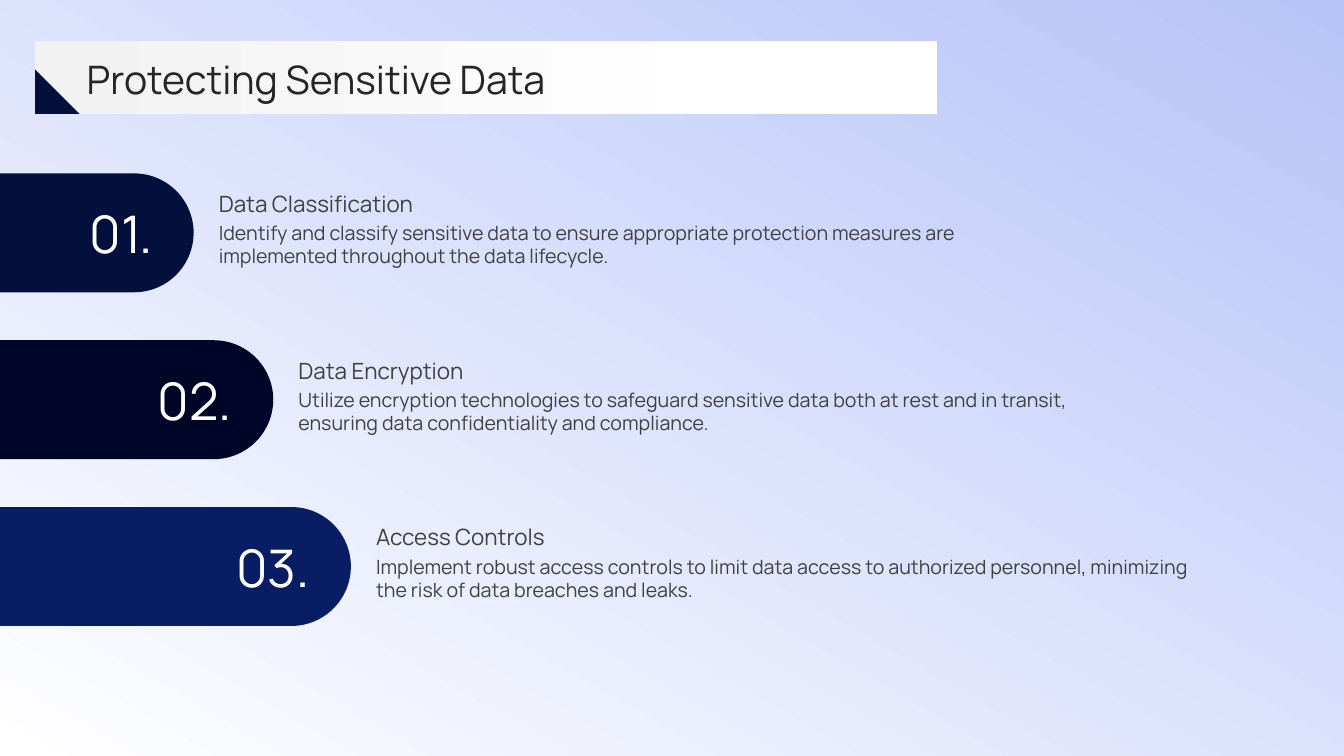
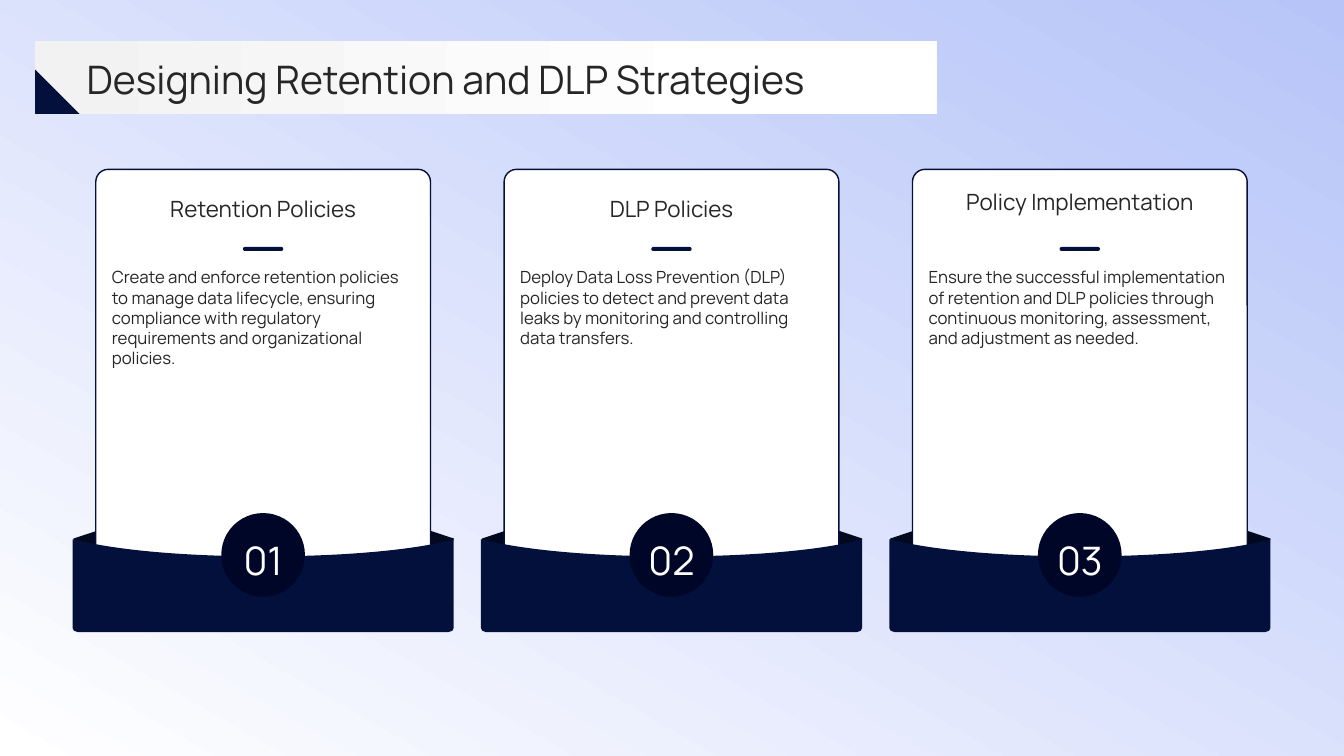
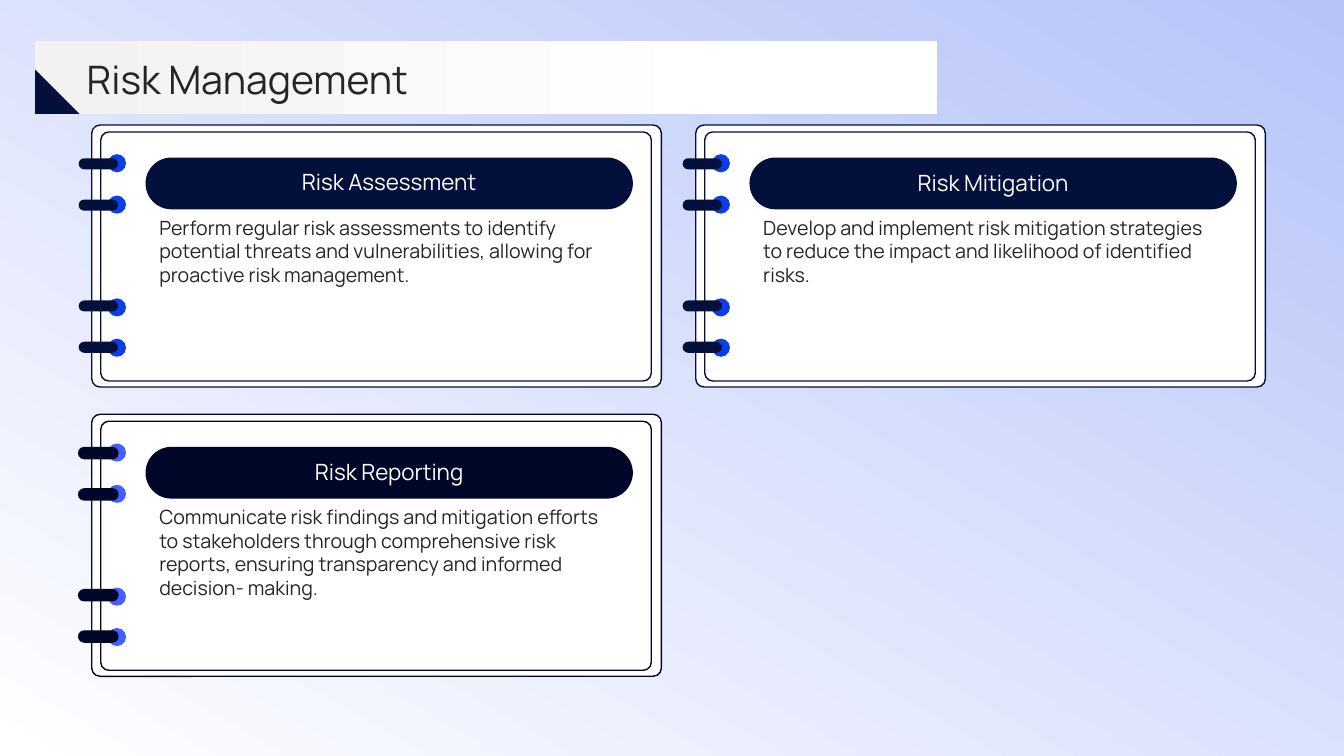
"""Build three data protection slides with a shared title band and gradient background."""
from copy import copy

from pptx import Presentation
from pptx.dml.color import RGBColor
from pptx.enum.shapes import MSO_SHAPE as SHAPE
from pptx.enum.text import MSO_ANCHOR as ANCHOR, MSO_AUTO_SIZE, PP_ALIGN as ALIGN
from pptx.oxml.ns import qn
from pptx.util import Inches, Pt

FONT = "Manrope"
WIDTH, HEIGHT = 13.33, 7.5
COLORS = {
    "navy": "03103B", "midnight": "000627", "royal": "091D65", "fold": "02081E",
    "blue": "0C3EE6", "violet": "4360FF", "periwinkle": "AABDFB", "sky": "B6C4F8",
    "mist": "F2F2F2", "white": "FFFFFF", "ink": "262626", "gray": "404040",
}

PROTECTION = [
    ("01.", 1.97, "navy", "Data Classification",
     "Identify and classify sensitive data to ensure appropriate protection measures are "
     "implemented throughout the data lifecycle."),
    ("02.", 2.76, "midnight", "Data Encryption",
     "Utilize encryption technologies to safeguard sensitive data both at rest and in transit, "
     "ensuring data confidentiality and compliance."),
    ("03.", 3.53, "royal", "Access Controls",
     "Implement robust access controls to limit data access to authorized personnel, minimizing "
     "the risk of data breaches and leaks."),
]
STRATEGIES = [
    ("01", 1.77, "Retention Policies",
     "Create and enforce retention policies to manage data lifecycle, ensuring compliance with "
     "regulatory requirements and organizational policies."),
    ("02", 1.77, "DLP Policies",
     "Deploy Data Loss Prevention (DLP) policies to detect and prevent data leaks by monitoring "
     "and controlling data transfers."),
    ("03", 1.7, "Policy Implementation",
     "Ensure the successful implementation of retention and DLP policies through continuous "
     "monitoring, assessment, and adjustment as needed."),
]
RISKS = [
    ("navy", "blue", 0.35, "Risk Assessment",
     "Perform regular risk assessments to identify potential threats and vulnerabilities, "
     "allowing for proactive risk management."),
    ("navy", "blue", 0.36, "Risk Mitigation",
     "Develop and implement risk mitigation strategies to reduce the impact and likelihood of "
     "identified risks."),
    ("midnight", "violet", 0.35, "Risk Reporting",
     "Communicate risk findings and mitigation efforts to stakeholders through comprehensive "
     "risk reports, ensuring transparency and informed decision- making."),
]
RING_DOTS = [0.29, 0.7, 1.72, 2.12]
RING_BARS = [0.33, 0.74, 1.74, 2.15]
POCKET_OUTLINE = [
    [(0.05, 0.01)],
    [(0.45, 0.11), (1.13, 0.17), (1.9, 0.17)],
    [(2.67, 0.17), (3.35, 0.11), (3.75, 0.01)],
    [(3.78, 0)],
    [(3.78, 0.88)],
    [(3.78, 0.9), (3.76, 0.92), (3.73, 0.92)],
    [(0.05, 0.92)],
    [(0.02, 0.92), (0, 0.9), (0, 0.88)],
    [(0, 0)],
]


def rgb(name):
    return RGBColor.from_string(COLORS[name])


def fill_gradient(fill, start, end, angle, end_position=1.0):
    fill.gradient()
    fill.gradient_angle = angle
    for stop, color, position in zip(fill.gradient_stops, (start, end), (0, end_position)):
        stop.color.rgb = rgb(color)
        stop.position = position


def paint(shape, fill, line=None):
    shape.shadow.inherit = False
    if fill:
        shape.fill.solid()
        shape.fill.fore_color.rgb = rgb(fill)
    if line:
        shape.line.color.rgb = rgb(line)
        shape.line.width = Pt(1)
    else:
        shape.line.fill.background()


def add_shape(slide, kind, box, fill=None, line=None, corner=None, rotation=0, flip=False):
    shape = slide.shapes.add_shape(kind, *map(Inches, box))
    paint(shape, fill, line)
    if corner is not None:
        shape.adjustments[0] = corner
    shape.rotation = rotation
    if flip:
        shape._element.spPr.xfrm.set("flipH", "1")
    return shape


def set_text(shape, text, size, color, align=ALIGN.LEFT, anchor=ANCHOR.TOP):
    frame = shape.text_frame
    frame.word_wrap = True
    frame.auto_size = MSO_AUTO_SIZE.NONE
    frame.vertical_anchor = anchor
    frame.margin_left = frame.margin_right = frame.margin_top = frame.margin_bottom = 0
    paragraph = frame.paragraphs[0]
    paragraph.alignment = align
    run = paragraph.add_run()
    run.text = text
    run.font.name = FONT
    run.font.size = Pt(size)
    run.font.color.rgb = rgb(color)


def add_text(slide, box, *style):
    set_text(slide.shapes.add_textbox(*map(Inches, box)), *style)


def add_slide(presentation):
    slide = presentation.slides.add_slide(presentation.slide_layouts[5])
    wash = add_shape(slide, SHAPE.RECTANGLE, (0, 0, WIDTH, HEIGHT), flip=True)
    fill_gradient(wash.fill, "sky", "white", 300)
    return slide


def add_title(slide, title):
    band = add_shape(slide, SHAPE.ROUNDED_RECTANGLE, (0.35, 0.41, 8.94, 0.72), corner=0)
    fill_gradient(band.fill, "mist", "white", 0, 0.8)
    heading = slide.shapes.title
    heading.left, heading.top, heading.width, heading.height = map(Inches, (0.86, 0.53, 11.67, 0.51))
    set_text(heading, title, 28, "ink", ALIGN.LEFT, ANCHOR.MIDDLE)
    band._element.addnext(heading._element)
    add_shape(slide, SHAPE.RIGHT_TRIANGLE, (0.35, 0.69, 0.44, 0.44), "navy")


def add_tab(slide, index, number, length, color, heading, body):
    thickness, bleed = 1.18, 0.05
    right = length - bleed
    middle = 2.31 + 1.655 * index
    box = ((length - thickness) / 2 - bleed, middle - length / 2, thickness, length)
    tab = add_shape(slide, SHAPE.ROUND_2_SAME_RECTANGLE, box, color, corner=0.5, rotation=90)
    tab.adjustments[1] = 0
    add_text(slide, (right - 1.53, middle - 0.31, 1.12, 0.62),
             number, 37, "white", ALIGN.RIGHT, ANCHOR.MIDDLE)
    left = right + 0.25
    add_text(slide, (left, middle - 0.12, 8.27, 0.79), body, 14, "gray")
    add_text(slide, (left, middle - 0.59, 8.27, 0.43), heading, 16, "gray", ALIGN.LEFT, ANCHOR.BOTTOM)


def add_pocket(slide, left, top):
    corners = [(Inches(left + x), Inches(top + y)) for x, y in (part[-1] for part in POCKET_OUTLINE)]
    builder = slide.shapes.build_freeform(Inches(left), Inches(top), scale=1.0)
    builder.add_line_segments(corners, close=True)
    pocket = builder.convert_to_shape()
    paint(pocket, "navy")
    edges = list(pocket._element.iter(qn("a:lnTo")))
    for edge, part in zip(edges, POCKET_OUTLINE):
        if len(part) == 3:
            edge.tag = qn("a:cubicBezTo")
            for position, (x, y) in enumerate(part[:2]):
                control = copy(edge[-1])
                control.set("x", str(Inches(x)))
                control.set("y", str(Inches(y)))
                edge.insert(position, control)


def add_card(slide, index, number, heading_top, heading, body):
    left, width = 0.95 + 4.05 * index, 3.32
    center = left + width / 2
    for offset, rotation, flip in ((3.03, 288.4, True), (-0.09, 71.6, False)):
        add_shape(slide, SHAPE.RIGHT_TRIANGLE, (left + offset, 5.16, 0.39, 0.56), "fold",
                  rotation=rotation, flip=flip)
    add_shape(slide, SHAPE.ROUNDED_RECTANGLE, (left, 1.68, width, 4.51), "white", "navy", 0.037)
    add_pocket(slide, left - 0.23, 5.35)
    add_text(slide, (left + 0.16, 2.65, 3, 2.31), body, 12, "ink")
    add_shape(slide, SHAPE.ROUNDED_RECTANGLE, (center - 0.2, 2.45, 0.4, 0.04), "navy", corner=0.5)
    add_shape(slide, SHAPE.OVAL, (center - 0.415, 5.09, 0.83, 0.83), "midnight")
    add_text(slide, (center - 0.29, 5.22, 0.58, 0.57), number, 28, "white", ALIGN.CENTER, ANCHOR.BOTTOM)
    add_text(slide, (left, heading_top, width, 0.6), heading, 16, "ink", ALIGN.CENTER, ANCHOR.MIDDLE)


def add_notebook(slide, index, color, dot_color, heading_offset, heading, body):
    row, column = divmod(index, 2)
    left, top = 0.91 + 5.99 * column, 1.24 + 2.87 * row
    rounded = SHAPE.ROUNDED_RECTANGLE
    add_shape(slide, rounded, (left, top, 5.65, 2.6), "white", color, 0.032)
    add_shape(slide, rounded, (left + 0.09, top + 0.07, 5.46, 2.47), "white", color, 0.032)
    for offset in RING_DOTS:
        add_shape(slide, SHAPE.OVAL, (left + 0.16, top + offset, 0.18, 0.18), dot_color)
    bar_line = color if color == "midnight" else None
    for offset in RING_BARS:
        add_shape(slide, rounded, (left - 0.13, top + offset, 0.39, 0.11), color, bar_line, 0.5)
    add_text(slide, (left + 0.67, top + 0.9, 4.56, 1.36), body, 14, "ink")
    add_shape(slide, rounded, (left + 0.54, top + 0.33, 4.82, 0.5), color, color, 0.5)
    add_text(slide, (left + 0.67, top + heading_offset, 4.56, 0.43),
             heading, 16, "white", ALIGN.CENTER, ANCHOR.MIDDLE)


def main():
    presentation = Presentation()
    presentation.slide_width, presentation.slide_height = Inches(WIDTH), Inches(HEIGHT)
    fill_gradient(presentation.slide_master.background.fill, "periwinkle", "white", 300)
    for title, add_item, items in (
        ("Protecting Sensitive Data", add_tab, PROTECTION),
        ("Designing Retention and DLP Strategies", add_card, STRATEGIES),
        ("Risk Management", add_notebook, RISKS),
    ):
        slide = add_slide(presentation)
        for index, item in enumerate(items):
            add_item(slide, index, *item)
        add_title(slide, title)
    presentation.save("out.pptx")


if __name__ == "__main__":
    main()
